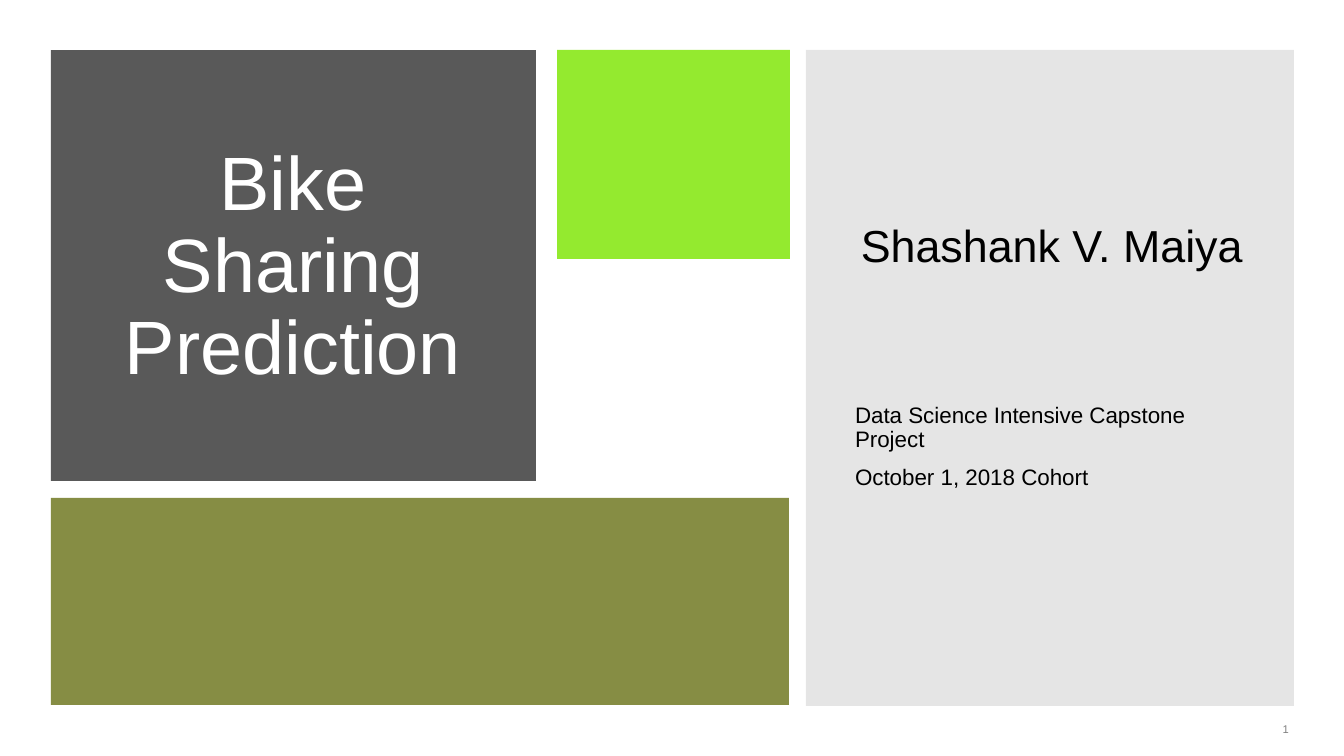
from lxml import etree
from pptx import Presentation
from pptx.dml.color import RGBColor
from pptx.enum.shapes import MSO_SHAPE
from pptx.enum.text import MSO_ANCHOR, MSO_AUTO_SIZE, PP_ALIGN
from pptx.oxml.ns import qn
from pptx.util import Pt

EMU_PER_PX = 914400 / 100.8
FONT = "Arial"

WHITE = RGBColor(0xFF, 0xFF, 0xFF)
BLACK = RGBColor(0x00, 0x00, 0x00)
GRAY = RGBColor(0x80, 0x80, 0x80)
CHARCOAL = RGBColor(0x59, 0x59, 0x59)
LIME = RGBColor(0x94, 0xEA, 0x2F)
OLIVE = RGBColor(0x86, 0x8D, 0x44)

RECTANGLE = MSO_SHAPE.RECTANGLE
MIDDLE = MSO_ANCHOR.MIDDLE
NO_AUTOFIT = MSO_AUTO_SIZE.NONE
LEFT, CENTER, RIGHT = PP_ALIGN.LEFT, PP_ALIGN.CENTER, PP_ALIGN.RIGHT


def px(length):
    return round(length * EMU_PER_PX)


def add_panel(page, left, top, width, height, color, opacity=100):
    panel = page.shapes.add_shape(RECTANGLE, px(left), px(top), px(width), px(height))
    panel.shadow.inherit = False
    panel.fill.solid()
    panel.fill.fore_color.rgb = color
    panel.line.fill.background()
    if opacity < 100:
        color_element = panel.fill._xPr.find(".//" + qn("a:srgbClr"))
        etree.SubElement(color_element, qn("a:alpha"), val=str(opacity * 1000))


def place_in_front(page, box, left, top, width, height):
    box.left, box.top, box.width, box.height = map(px, (left, top, width, height))
    page.shapes._spTree.append(box._element)


def prepare_frame(box, side_inset, top_inset, bottom_inset):
    frame = box.text_frame
    frame.word_wrap = True
    frame.auto_size = NO_AUTOFIT
    frame.vertical_anchor = MIDDLE
    frame.margin_left = frame.margin_right = px(side_inset)
    frame.margin_top = px(top_inset)
    frame.margin_bottom = px(bottom_inset)
    return frame


def write_paragraph(para, text, size, color, align, spacing=0.9, before=0):
    para.text = text
    para.alignment = align
    para.line_spacing = spacing
    para.space_before = Pt(before)
    para.font.name = FONT
    para.font.size = Pt(size)
    para.font.color.rgb = color


def add_title(page):
    title = page.shapes.title
    place_in_front(page, title, 86, 84, 414, 368)
    frame = prepare_frame(title, 10, 5, 5)
    write_paragraph(frame.paragraphs[0], "Bike Sharing Prediction", 54, WHITE, CENTER)


def add_subtitle(page):
    subtitle = page.placeholders[1]
    place_in_front(page, subtitle, 845, 88, 414, 582)
    frame = prepare_frame(subtitle, 10, 5, 48)
    write_paragraph(frame.paragraphs[0], "Shashank V. Maiya", 32, BLACK, CENTER)
    details = (
        ("Data Science Intensive Capstone Project", 94),
        ("October 1, 2018 Cohort", 10),
    )
    for text, before in details:
        write_paragraph(frame.add_paragraph(), text, 16, BLACK, LEFT, before=before)


def add_page_number(page):
    box = page.shapes.add_textbox(px(1210), px(720), px(79), px(15))
    frame = prepare_frame(box, 0, 0, 0)
    write_paragraph(frame.paragraphs[0], "1", 8, GRAY, RIGHT, spacing=1.25)


def main():
    deck = Presentation()
    deck.slide_width, deck.slide_height = px(1344), px(756)
    page = deck.slides.add_slide(deck.slide_layouts[0])
    add_page_number(page)
    add_panel(page, 51, 50, 485, 431, CHARCOAL)
    add_panel(page, 557, 50, 233, 209, LIME)
    add_panel(page, 51, 498, 738, 207, OLIVE)
    add_panel(page, 806, 50, 488, 656, GRAY, opacity=20)
    add_title(page)
    add_subtitle(page)
    deck.save("out.pptx")


if __name__ == "__main__":
    main()
